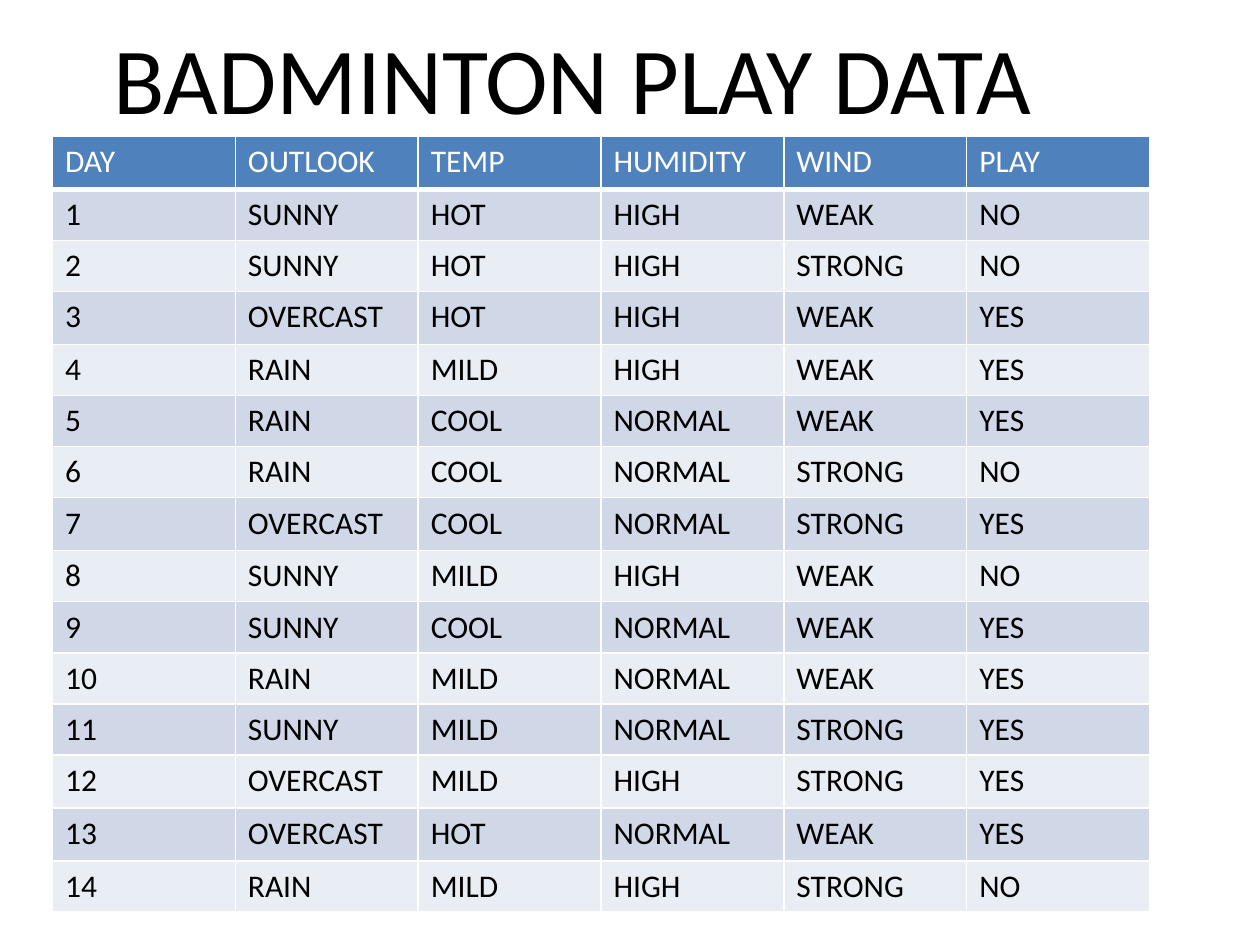
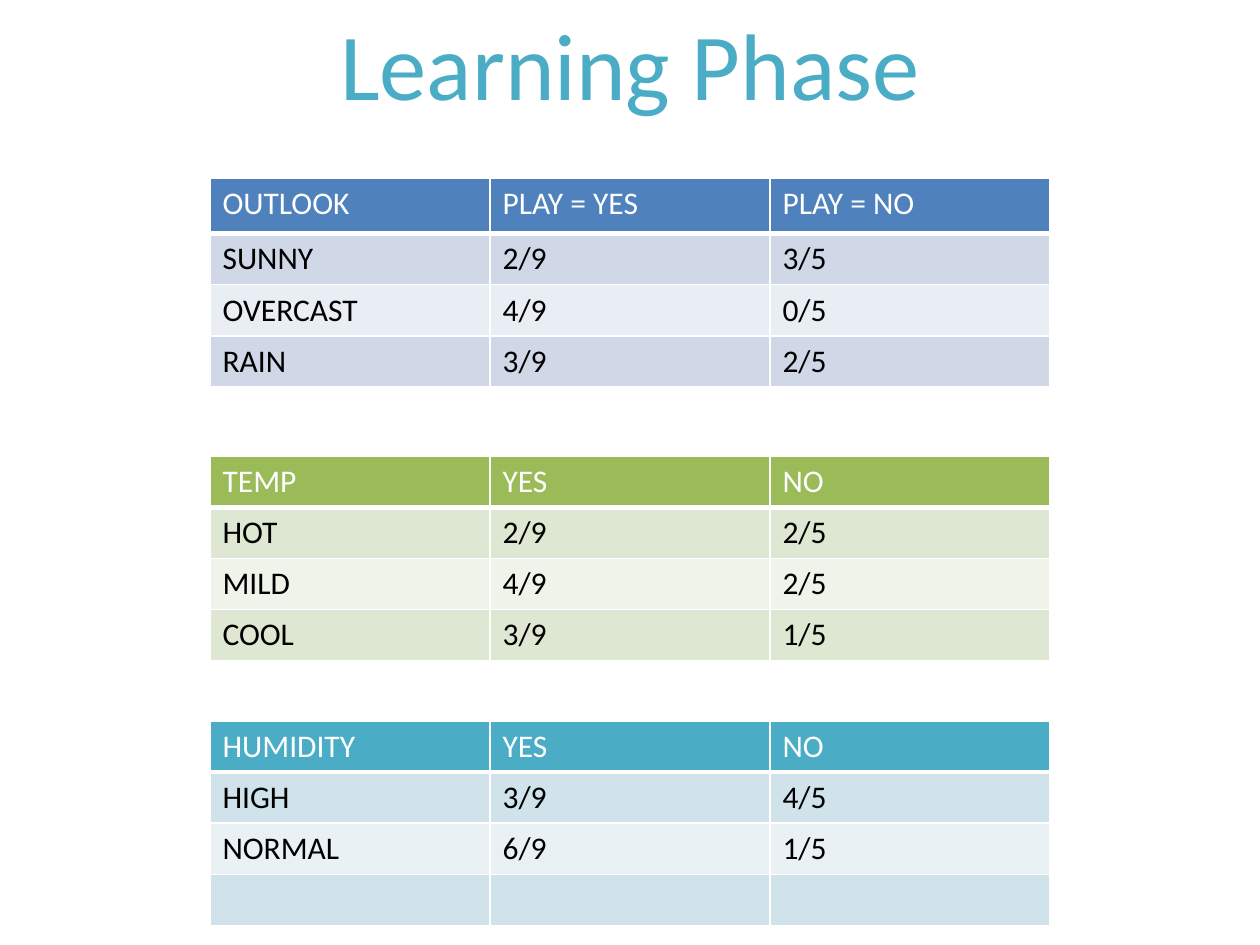
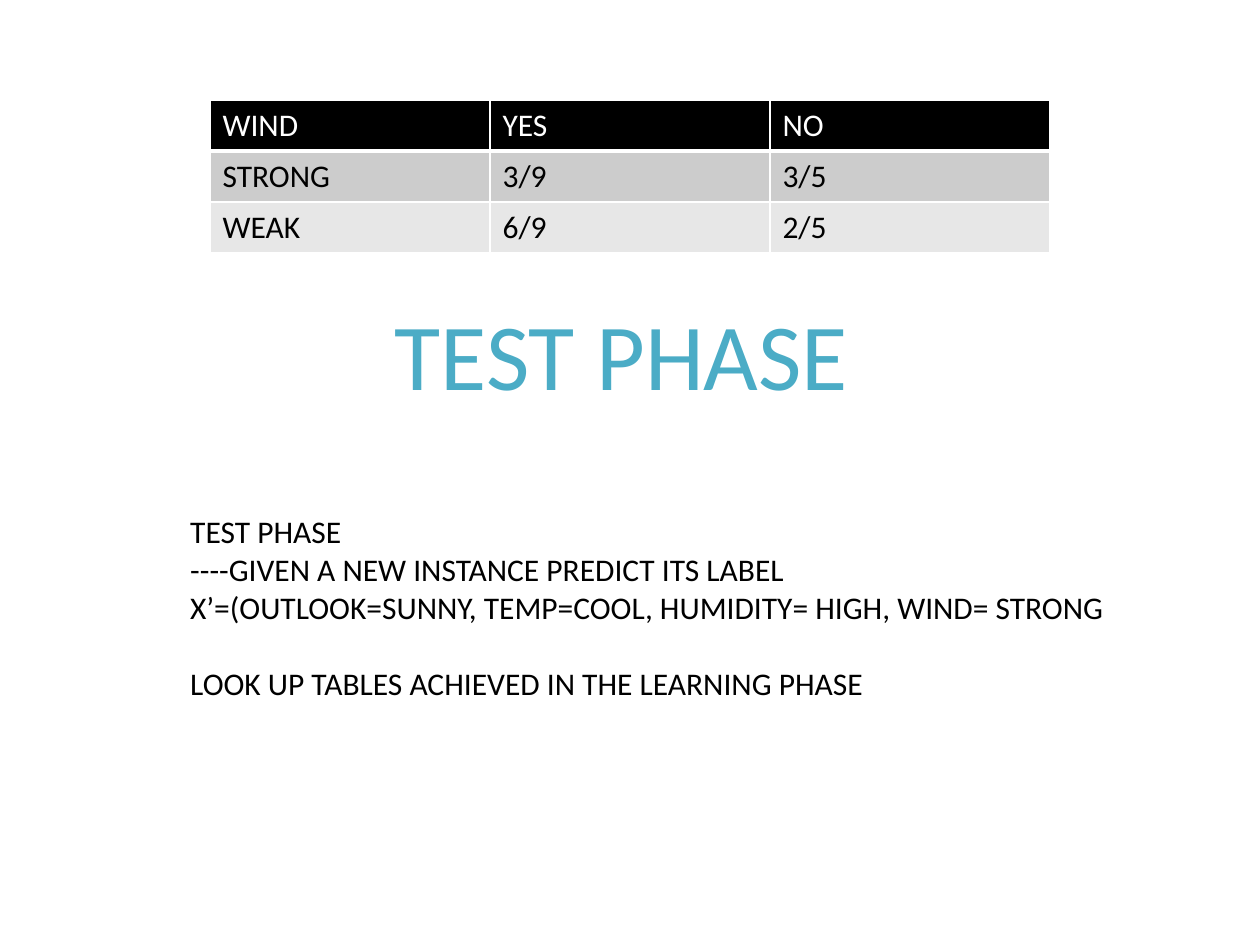
from lxml.etree import SubElement
from pptx import Presentation
from pptx.dml.color import RGBColor
from pptx.enum.text import MSO_ANCHOR, MSO_AUTO_SIZE, PP_ALIGN
from pptx.oxml.ns import qn
from pptx.util import Pt

FONT = "Calibri"
WHITE = RGBColor(0xFF, 0xFF, 0xFF)
BLACK = RGBColor(0x00, 0x00, 0x00)
TEAL_DARK = RGBColor(0x21, 0x59, 0x68)
TEAL = RGBColor(0x4B, 0xAC, 0xC6)
TEAL_LIGHT = RGBColor(0x93, 0xCD, 0xDD)
TITLE_STOPS = ((0, TEAL_DARK), (50, TEAL), (100, TEAL_LIGHT))

# Table palettes: header, odd rows, even rows
BLUES = (RGBColor(0x4F, 0x81, 0xBD), RGBColor(0xD0, 0xD8, 0xE8), RGBColor(0xE9, 0xED, 0xF4))
GREENS = (RGBColor(0x9B, 0xBB, 0x59), RGBColor(0xDE, 0xE7, 0xD1), RGBColor(0xEF, 0xF3, 0xEA))
TEALS = (TEAL, RGBColor(0xD0, 0xE3, 0xEA), RGBColor(0xE9, 0xF1, 0xF5))
GREYS = (BLACK, RGBColor(0xCC, 0xCC, 0xCC), RGBColor(0xE7, 0xE7, 0xE7))

TITLE_ONLY, TITLE_AND_BODY = 5, 1
ROW_H = 29.2
TALL_ROW_H = 30.24
LINE_H = 22
FREQ_LEFT, FREQ_COL_W = 120, 160

PLAY_DATA = """DAY OUTLOOK TEMP HUMIDITY WIND PLAY
1 SUNNY HOT HIGH WEAK NO
2 SUNNY HOT HIGH STRONG NO
3 OVERCAST HOT HIGH WEAK YES
4 RAIN MILD HIGH WEAK YES
5 RAIN COOL NORMAL WEAK YES
6 RAIN COOL NORMAL STRONG NO
7 OVERCAST COOL NORMAL STRONG YES
8 SUNNY MILD HIGH WEAK NO
9 SUNNY COOL NORMAL WEAK YES
10 RAIN MILD NORMAL WEAK YES
11 SUNNY MILD NORMAL STRONG YES
12 OVERCAST MILD HIGH STRONG YES
13 OVERCAST HOT NORMAL WEAK YES
14 RAIN MILD HIGH STRONG NO"""

OUTLOOK = [("OUTLOOK", "PLAY = YES", "PLAY = NO"), ("SUNNY", "2/9", "3/5"),
           ("OVERCAST", "4/9", "0/5"), ("RAIN", "3/9", "2/5")]
TEMP = [("TEMP", "YES", "NO"), ("HOT", "2/9", "2/5"),
        ("MILD", "4/9", "2/5"), ("COOL", "3/9", "1/5")]
HUMIDITY = [("HUMIDITY", "YES", "NO"), ("HIGH", "3/9", "4/5"),
            ("NORMAL", "6/9", "1/5"), ("", "", "")]
WIND = [("WIND", "YES", "NO"), ("STRONG", "3/9", "3/5"), ("WEAK", "6/9", "2/5")]

# Text and space before it in points
TEST_LINES = [
    ("TEST PHASE", 0),
    ("----GIVEN A NEW INSTANCE PREDICT ITS LABEL", 0),
    ("X’=(OUTLOOK=SUNNY, TEMP=COOL, HUMIDITY= HIGH, WIND= STRONG", 0),
    ("LOOK UP TABLES ACHIEVED IN THE LEARNING PHASE", LINE_H),
]


def set_attrs(obj, values):
    """Set several attributes of an object."""
    for name, value in values.items():
        setattr(obj, name, value)


def add_run(p, text, size, color):
    """Add a formatted run to a paragraph."""
    r = p.add_run()
    r.text = text
    set_attrs(r.font, {"name": FONT, "size": Pt(size)})
    r.font.color.rgb = color
    return r


def fill_gradient(r, stops):
    """Give a run a vertical gradient in place of its solid fill."""
    rpr = r.font._element
    rpr.remove(rpr.find(qn("a:solidFill")))
    grad = SubElement(rpr, qn("a:gradFill"))
    gs_lst = SubElement(grad, qn("a:gsLst"))
    for pos, color in stops:
        gs = SubElement(gs_lst, qn("a:gs"), pos=str(pos * 1000))
        SubElement(gs, qn("a:srgbClr"), val=str(color))
    SubElement(grad, qn("a:lin"), ang="5400000", scaled="0")
    rpr.insert(0, grad)


def place_text(sp, left, top, width, height):
    """Move a placeholder and return its text frame, fitted to unwrapped text."""
    set_attrs(sp, {"left": Pt(left), "top": Pt(top),
                   "width": Pt(width), "height": Pt(height)})
    tf = sp.text_frame
    set_attrs(tf, {"word_wrap": False, "auto_size": MSO_AUTO_SIZE.SHAPE_TO_FIT_TEXT,
                   "vertical_anchor": MSO_ANCHOR.TOP})
    return tf


def set_title(s, text, left, top, width, stops=None):
    """Write the slide title, in black or with a gradient."""
    p = place_text(s.shapes.title, left, top, width, 72.7).paragraphs[0]
    p.alignment = PP_ALIGN.CENTER
    r = add_run(p, text, 54, BLACK)
    if stops:
        fill_gradient(r, stops)


def set_body(s, lines, left, top, width, height):
    """Write plain lines without bullets in the body placeholder."""
    tf = place_text(s.placeholders[1], left, top, width, height)
    for i, (text, gap) in enumerate(lines):
        p = tf.add_paragraph() if i else tf.paragraphs[0]
        p.space_before = Pt(gap)
        ppr = p._p.get_or_add_pPr()
        ppr.set("marL", "0")
        ppr.set("indent", "0")
        SubElement(ppr, qn("a:buNone"))
        add_run(p, text, 18, BLACK)


def set_borders(cell, bottom):
    """Draw white cell borders, 1 pt except for the bottom one."""
    tcpr = cell._tc.get_or_add_tcPr()
    for i, (side, width) in enumerate((("L", 1), ("R", 1), ("T", 1), ("B", bottom))):
        ln = SubElement(tcpr, qn("a:ln" + side), w=str(Pt(width)))
        fill = SubElement(ln, qn("a:solidFill"))
        SubElement(fill, qn("a:srgbClr"), val=str(WHITE))
        tcpr.insert(i, ln)


def add_data_table(s, rows, left, top, col_w, palette, heights):
    """Add a table with a coloured header and banded rows."""
    n_cols = len(rows[0])
    table = s.shapes.add_table(len(rows), n_cols, Pt(left), Pt(top),
                               Pt(col_w * n_cols), Pt(sum(heights))).table
    header, odd, even = palette
    for col in table.columns:
        col.width = Pt(col_w)
    for i, values in enumerate(rows):
        table.rows[i].height = Pt(heights[i])
        for j, text in enumerate(values):
            cell = table.cell(i, j)
            cell.fill.solid()
            cell.fill.fore_color.rgb = header if i == 0 else odd if i % 2 else even
            set_borders(cell, 1 if i else 3)
            if text:
                add_run(cell.text_frame.paragraphs[0], text, 18, BLACK if i else WHITE)


def add_frequency_table(s, rows, top, palette, header_h=ROW_H):
    """Add a three-column table of frequencies at the shared position."""
    heights = [header_h] + [ROW_H] * (len(rows) - 1)
    add_data_table(s, rows, FREQ_LEFT, top, FREQ_COL_W, palette, heights)


def add_play_data_slide(prs):
    """Slide with all observed days."""
    s = prs.slides.add_slide(prs.slide_layouts[TITLE_ONLY])
    set_title(s, "BADMINTON PLAY DATA", 54.7, 8, 545)
    rows = [line.split() for line in PLAY_DATA.splitlines()]
    heights = [TALL_ROW_H if i == 0 or "OVERCAST" in row else ROW_H
               for i, row in enumerate(rows)]
    add_data_table(s, rows, 30, 78, 104.5, BLUES, heights)


def add_learning_slide(prs):
    """Slide with the frequencies learned for three attributes."""
    s = prs.slides.add_slide(prs.slide_layouts[TITLE_ONLY])
    set_title(s, "Learning Phase", 185.5, 0, 349, TITLE_STOPS)
    add_frequency_table(s, OUTLOOK, 102, BLUES, 31.5)
    add_frequency_table(s, TEMP, 260.8, GREENS)
    add_frequency_table(s, HUMIDITY, 412, TEALS)


def add_test_slide(prs):
    """Slide with the wind frequencies and the test instance."""
    s = prs.slides.add_slide(prs.slide_layouts[TITLE_AND_BODY])
    add_frequency_table(s, WIND, 57, GREYS)
    set_title(s, "TEST PHASE", 217, 165.6, 276.5, TITLE_STOPS)
    set_body(s, TEST_LINES, 101.5, 289, 542, 138)


def main():
    """Build and save the deck."""
    prs = Presentation()
    set_attrs(prs, {"slide_width": Pt(720), "slide_height": Pt(540)})
    add_play_data_slide(prs)
    add_learning_slide(prs)
    add_test_slide(prs)
    prs.save("out.pptx")


main()
